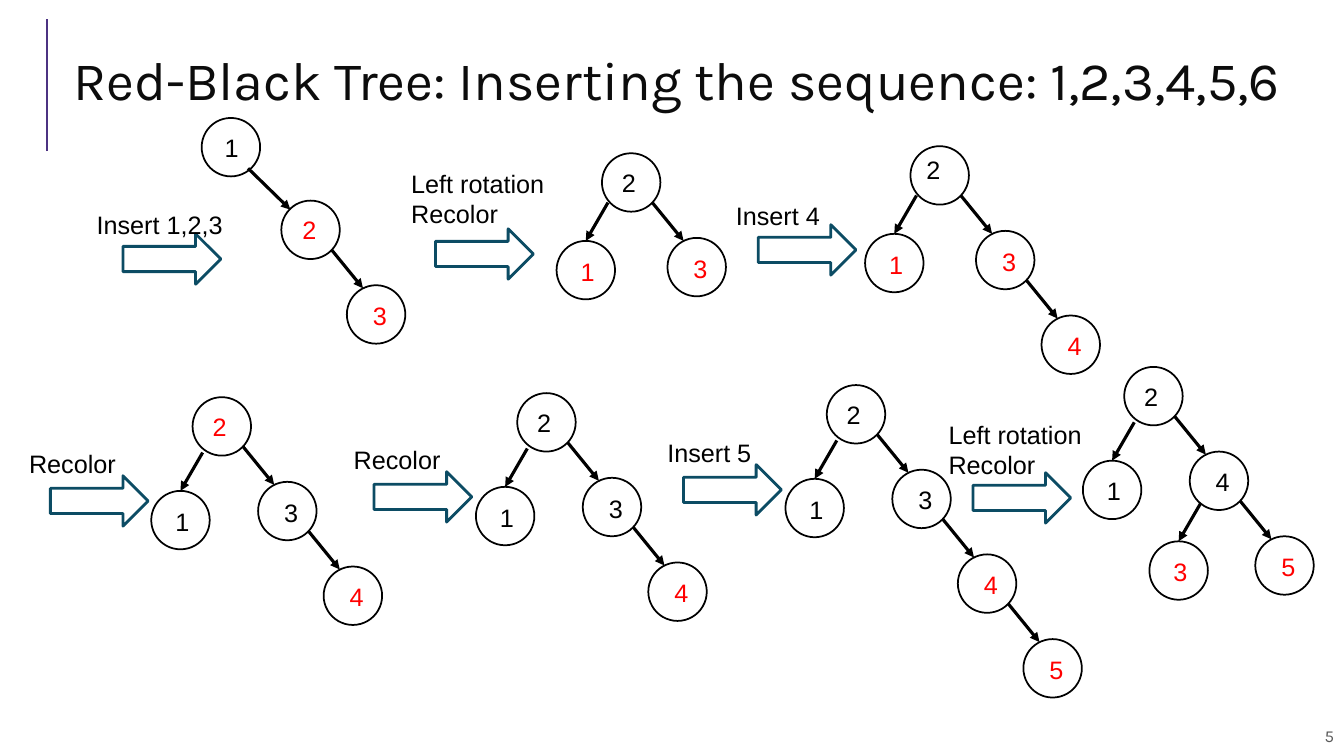
import collections

import lxml.etree
import pptx
import pptx.dml.color
import pptx.enum.shapes
import pptx.enum.text
import pptx.oxml.ns
import pptx.util

# The slide is a grid of one-inch cells; all lengths are in columns and rows
COLS, ROWS = 13.33, 7.5
NODE = 0.58
COLORS = {"black": "000000", "red": "FF0000", "white": "FFFFFF", "title": "0C0C0C",
          "accent": "4C3282", "arrow": "0C4C64", "page": "595959"}

# child: from parent to child; key, start, end: from the child's corner
Side = collections.namedtuple("Side", "child key start end")
LEFT_EDGE = ((0.14, 0.1), (0.51, -0.38), (0.29, 0))
SIDES = {
    "right": Side((0.65, 0.84), (0.16, 0.1), (-0.15, -0.35), (0.16, 0.03)),
    "far right": Side((0.79, 0.82), (0.11, 0.09), (-0.33, -0.32), (0.09, 0.09)),
    "left": Side((-0.41, 0.93), *LEFT_EDGE),
    "far left": Side((-0.45, 0.87), *LEFT_EDGE),
    "inner left": Side((-0.4, 0.89), *LEFT_EDGE),
}

# box: corner of the block arrow; label and root: offsets from that corner
# children: (key, parent, side, colour)
Step = collections.namedtuple("Step", "box label lines root root_key root_color children root_nudge",
                              defaults=[(0.1, 0.09)])
RECOLORED = [("3", "2", "right", "black"), ("1", "2", "left", "black"), ("4", "3", "right", "red")]
STEPS = [
    Step((1.22, 2.32), (-0.36, -0.29), ["Insert 1,2,3"], (0.78, -1.15), "1", "black",
         [("2", "1", "far right", "red"), ("3", "2", "right", "red")], (0.13, 0.09)),
    Step((4.32, 2.27), (-0.34, -0.65), ["Left rotation", "Recolor"], (1.65, -0.75), "2", "black",
         [("3", "2", "right", "red"), ("1", "2", "far left", "red")]),
    Step((7.52, 2.23), (-0.32, -0.29), ["Insert 4"], (1.51, -0.78), "2", "black",
         [("3", "2", "right", "red"), ("1", "2", "far left", "red"), ("4", "3", "right", "red")],
         (0.06, 0.03)),
    Step((0.5, 4.72), (-0.31, -0.32), ["Recolor"], (1.41, -0.78), "2", "red", RECOLORED),
    Step((3.71, 4.68), (-0.3, -0.32), ["Recolor"], (1.42, -0.78), "2", "black", RECOLORED),
    Step((6.78, 4.61), (-0.26, -0.32), ["Insert 5"], (1.42, -0.79), "2", "black",
         RECOLORED + [("5", "4", "right", "red")]),
    Step((9.65, 4.69), (-0.34, -0.58), ["Left rotation", "Recolor"], (1.5, -1.05), "2", "black",
         [("4", "2", "right", "black"), ("1", "2", "left", "black"),
          ("5", "4", "right", "red"), ("3", "4", "inner left", "red")]),
]


def inches(*lengths):
    return [pptx.util.Inches(length) for length in lengths]


def rgb(name):
    return pptx.dml.color.RGBColor.from_string(COLORS[name])


def shift(point, offset):
    return point[0] + offset[0], point[1] + offset[1]


def add_text(slide, box, lines, size=18, font="Arial", color="black", align="LEFT",
             anchor="TOP", wrap=True, spacing=None):
    frame = slide.shapes.add_textbox(*inches(*box)).text_frame
    frame.word_wrap = wrap
    frame.vertical_anchor = getattr(pptx.enum.text.MSO_ANCHOR, anchor)
    frame.text = "\n".join(lines)
    for paragraph in frame.paragraphs:
        paragraph.alignment = getattr(pptx.enum.text.PP_ALIGN, align)
        paragraph.line_spacing = spacing
        paragraph.font.size = pptx.util.Pt(size)
        paragraph.font.name = font
        paragraph.font.color.rgb = rgb(color)


def add_outlined(slide, kind, box, color, width):
    outlined = slide.shapes.add_shape(getattr(pptx.enum.shapes.MSO_SHAPE, kind), *inches(*box))
    outlined.shadow.inherit = False
    outlined.fill.solid()
    outlined.fill.fore_color.rgb = rgb("white")
    outlined.line.color.rgb = rgb(color)
    outlined.line.width = pptx.util.Pt(width)
    return outlined


def add_line(slide, start, end, color="black", width=2.25, arrowhead=True):
    line = slide.shapes.add_connector(pptx.enum.shapes.MSO_CONNECTOR.STRAIGHT,
                                      *inches(*start, *end))
    line.line.color.rgb = rgb(color)
    line.line.width = pptx.util.Pt(width)
    qn = pptx.oxml.ns.qn
    properties = line._element.spPr
    if arrowhead:
        lxml.etree.SubElement(properties.find(qn("a:ln")), qn("a:tailEnd"), type="triangle")
    lxml.etree.SubElement(properties, qn("a:effectLst"))
    return line


def add_node(slide, corner, key, color, key_offset):
    circle = add_outlined(slide, "OVAL", (*corner, NODE, NODE), "black", 1.25)
    add_text(slide, (*shift(corner, key_offset), 0.34, 0.4), [key], color=color, wrap=False)
    return circle


def draw_tree(slide, root, step):
    corners = {step.root_key: root}
    add_node(slide, root, step.root_key, step.root_color, step.root_nudge)
    for key, parent, side_name, color in step.children:
        side = SIDES[side_name]
        corner = corners[key] = shift(corners[parent], side.child)
        circle = add_node(slide, corner, key, color, side.key)
        edge = add_line(slide, shift(corner, side.start), shift(corner, side.end))
        if side_name.endswith("left"):
            edge.end_connect(circle, 0)


def draw_step(slide, step):
    # Block arrow with its label, then the resulting tree
    add_outlined(slide, "RIGHT_ARROW", (*step.box, 0.97, 0.5), "arrow", 2)
    label_height = 0.1 + 0.3 * len(step.lines)
    add_text(slide, (*shift(step.box, step.label), 1.6, label_height), step.lines)
    draw_tree(slide, shift(step.box, step.root), step)


def draw_header(slide, left, top, width, height):
    # Accent rule and title
    add_line(slide, (left, top + height), (left, top), "accent", 1.5, arrowhead=False)
    add_text(slide, (left + 0.16, top + 0.1, width, height - 0.2),
             ["Red-Black Tree: Inserting the sequence: 1,2,3,4,5,6"],
             size=38.7, font="Karla", color="title", anchor="MIDDLE", spacing=0.8)


def draw_page_number(slide, left, top, width, height):
    add_text(slide, (left, top, width, height), ["5"], size=12, font="Karla",
             color="page", align="RIGHT", anchor="MIDDLE")


def main():
    deck = pptx.Presentation()
    deck.slide_width, deck.slide_height = inches(COLS, ROWS)
    slide = deck.slides.add_slide(deck.slide_layouts[6])
    draw_header(slide, 0.47, 0.19, 12.23, 1.31)
    draw_page_number(slide, COLS - 4.68, ROWS - 0.4, 4.68, 0.4)
    for step in STEPS:
        draw_step(slide, step)
    deck.save("out.pptx")


if __name__ == "__main__":
    main()
